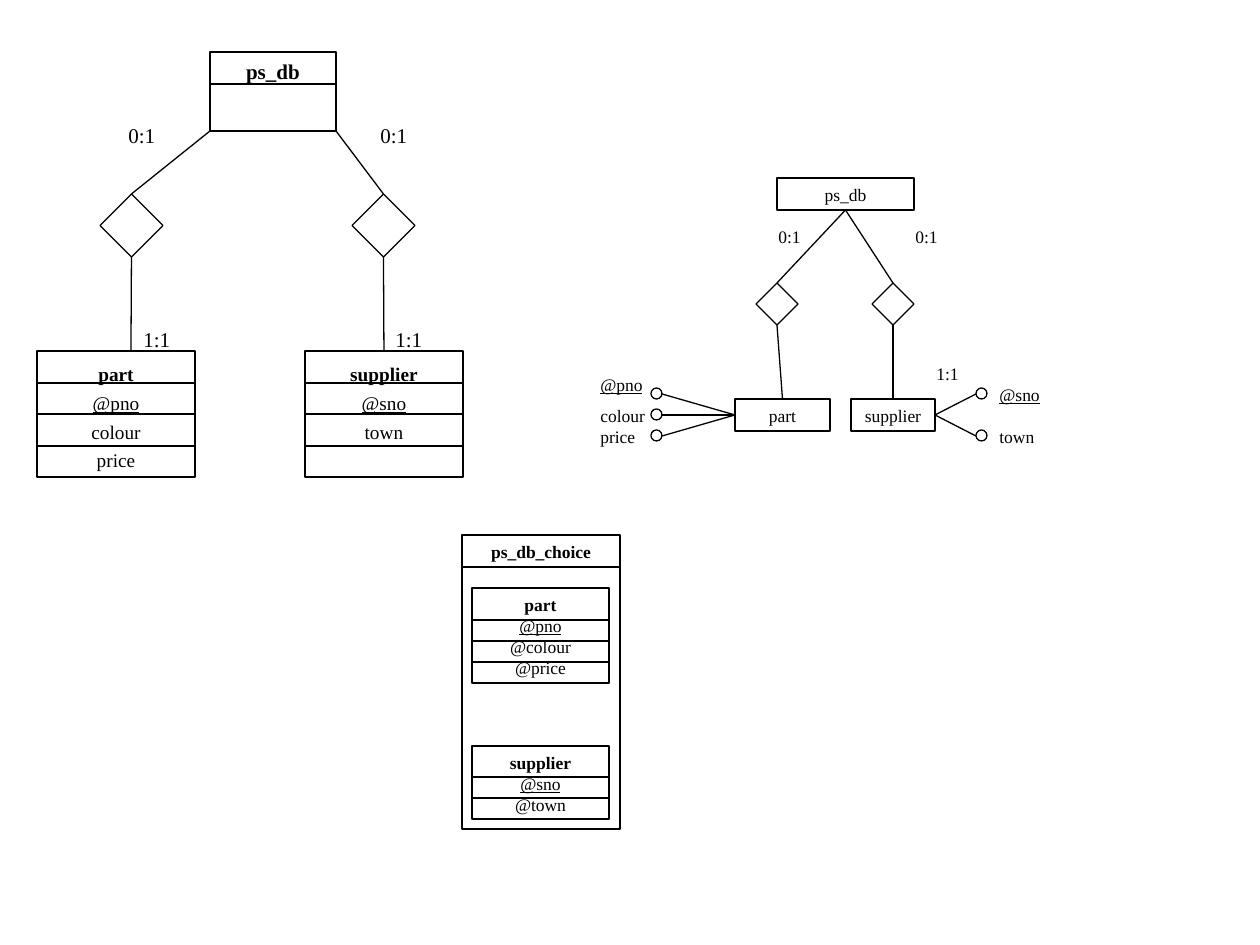
from lxml import etree
from pptx import Presentation
from pptx.dml.color import RGBColor
from pptx.enum.shapes import MSO_CONNECTOR, MSO_SHAPE
from pptx.enum.text import MSO_ANCHOR, PP_ALIGN
from pptx.oxml.ns import qn
from pptx.util import Pt

RECT, PROCESS = MSO_SHAPE.RECTANGLE, MSO_SHAPE.FLOWCHART_PROCESS
DIAMOND, OVAL = MSO_SHAPE.DIAMOND, MSO_SHAPE.OVAL
STRAIGHT = MSO_CONNECTOR.STRAIGHT
TOP, MIDDLE = MSO_ANCHOR.TOP, MSO_ANCHOR.MIDDLE
LEFT, CENTER = PP_ALIGN.LEFT, PP_ALIGN.CENTER
PX = 914400 / 126
FONT = "Times New Roman"
BLACK, WHITE = "000000", "FFFFFF"
SIDE_TOP, SIDE_LEFT, SIDE_BOTTOM, SIDE_RIGHT = range(4)


def px(*values):
    return [round(v * PX) for v in values]


def paint(color_format, hex_color):
    color_format.rgb = RGBColor.from_string(hex_color)


def write(p, text, size, align=LEFT, spacing=None, **style):
    p.alignment = align
    p.line_spacing = spacing
    r = p.add_run()
    r.text = text
    for name, value in {"name": FONT, "size": Pt(size), **style}.items():
        setattr(r.font, name, value)
    paint(r.font.color, BLACK)


def add_outline(shapes, kind, box, fill=None):
    sp = shapes.add_shape(kind, *px(*box))
    sp.shadow.inherit = False
    if fill:
        sp.fill.solid()
        paint(sp.fill.fore_color, fill)
    else:
        sp.fill.background()
    paint(sp.line.color, BLACK)
    sp.line.width = Pt(0.75)
    return sp


def add_line(shapes, start, end, begin=None, finish=None):
    """begin and finish are optional (shape, side) pairs to join."""
    cxn = shapes.add_connector(STRAIGHT, *px(*start, *end))
    paint(cxn.line.color, BLACK)
    cxn.line.width = Pt(0.75)
    etree.SubElement(cxn._element.spPr, qn("a:effectLst"))
    if begin:
        cxn.begin_connect(*begin)
    if finish:
        cxn.end_connect(*finish)


def add_entity(shapes, kind, box, title, attributes, dividers, size,
               fill=WHITE, spacing=None):
    """Box with a bold title, attributes (the first is the key) and row lines."""
    sp = add_outline(shapes, kind, box, fill)
    tf = sp.text_frame
    tf.word_wrap = True
    tf.vertical_anchor = TOP
    write(tf.paragraphs[0], title, size, CENTER, spacing, bold=True)
    for i, attribute in enumerate(attributes):
        write(tf.add_paragraph(), attribute, size, CENTER, spacing, underline=i == 0)
    x, _, width, _ = box
    for y in dividers:
        add_line(shapes, (x, y), (x + width, y))
    return sp


def add_node(shapes, box, text):
    sp = add_outline(shapes, RECT, box)
    tf = sp.text_frame
    tf.word_wrap = False
    tf.vertical_anchor = MIDDLE
    write(tf.paragraphs[0], text, 10, CENTER)
    return sp


def add_label(shapes, box, text, size, **style):
    tf = shapes.add_textbox(*px(*box)).text_frame
    tf.word_wrap = True
    write(tf.paragraphs[0], text, size, **style)


def add_table_diagram(slide):
    shapes = slide.shapes
    add_entity(shapes.add_group_shape().shapes, RECT, (210, 52, 126, 79),
               "ps_db", [], [84], 12, fill=None)
    rows = [383, 414, 446]
    add_entity(shapes.add_group_shape().shapes, PROCESS, (37, 351, 158, 126),
               "part", ["@pno", "colour", "price"], rows, 11, spacing=1.24)
    supplier = add_entity(shapes.add_group_shape().shapes, PROCESS, (305, 351, 158, 126),
                          "supplier", ["@sno", "town"], rows, 11, spacing=1.24)
    for x, corner, target in ((131, 210, None), (383, 336, (supplier, SIDE_TOP))):
        diamond = add_outline(shapes, DIAMOND, (x - 31, 194, 63, 63), WHITE)
        add_line(shapes, (corner, 131), (x, 194), finish=(diamond, SIDE_TOP))
        add_line(shapes, (x, 257), (x, 351), (diamond, SIDE_BOTTOM), target)
        add_label(shapes, (x, 320, 63, 32), "1:1", 12)
        add_label(shapes, (x - 15, 116, 63, 32), "0:1", 12)


def add_attribute_diagram(slide):
    shapes = slide.shapes
    root = add_node(shapes, (777, 178, 137, 32), "ps_db")
    part = add_node(shapes, (735, 399, 95, 32), "part")
    supplier = add_node(shapes, (851, 399, 84, 32), "supplier")

    # Choice links from the root
    for x, node, label_x in ((777, part, 766), (893, supplier, 903)):
        diamond = add_outline(shapes, DIAMOND, (x - 21, 283, 42, 42), WHITE)
        add_line(shapes, (x, 283), (845, 210), (diamond, SIDE_TOP), (root, SIDE_BOTTOM))
        add_line(shapes, (x, 325), (x, 399), (diamond, SIDE_BOTTOM), (node, SIDE_TOP))
        add_label(shapes, (label_x, 220, 63, 32), "0:1", 10)
    add_label(shapes, (924, 357, 63, 32), "1:1", 10)

    # Attribute circles: name, label top, circle top
    sides = (
        (part, SIDE_LEFT, 735, 651, 662, 588,
         [("@pno", 368, 388), ("colour", 399, 409), ("price", 420, 430)]),
        (supplier, SIDE_RIGHT, 935, 976, 976, 987,
         [("@sno", 378, 388), ("town", 420, 430)]),
    )
    for node, side, node_x, circle_x, end_x, label_x, attributes in sides:
        for name, label_y, circle_y in attributes:
            add_outline(shapes, OVAL, (circle_x, circle_y, 11, 11))
            add_line(shapes, (node_x, 415), (end_x, circle_y + 6), (node, side))
            add_label(shapes, (label_x, label_y, 105, 34), name, 10,
                      underline=name.startswith("@"))


def add_choice_diagram(slide):
    shapes = slide.shapes.add_group_shape().shapes
    add_entity(shapes, RECT, (462, 535, 158, 294), "ps_db_choice", [], [567], 10)
    add_entity(shapes, RECT, (472, 746, 137, 73),
               "supplier", ["@sno", "@town"], [777, 798], 10)
    add_entity(shapes, RECT, (472, 588, 137, 95),
               "part", ["@pno", "@colour", "@price"], [620, 641, 662], 10)


def main():
    prs = Presentation()
    prs.slide_width, prs.slide_height = px(1260, 945)
    slide = prs.slides.add_slide(prs.slide_layouts[6])
    add_table_diagram(slide)
    add_attribute_diagram(slide)
    add_choice_diagram(slide)
    prs.save("out.pptx")


if __name__ == "__main__":
    main()
